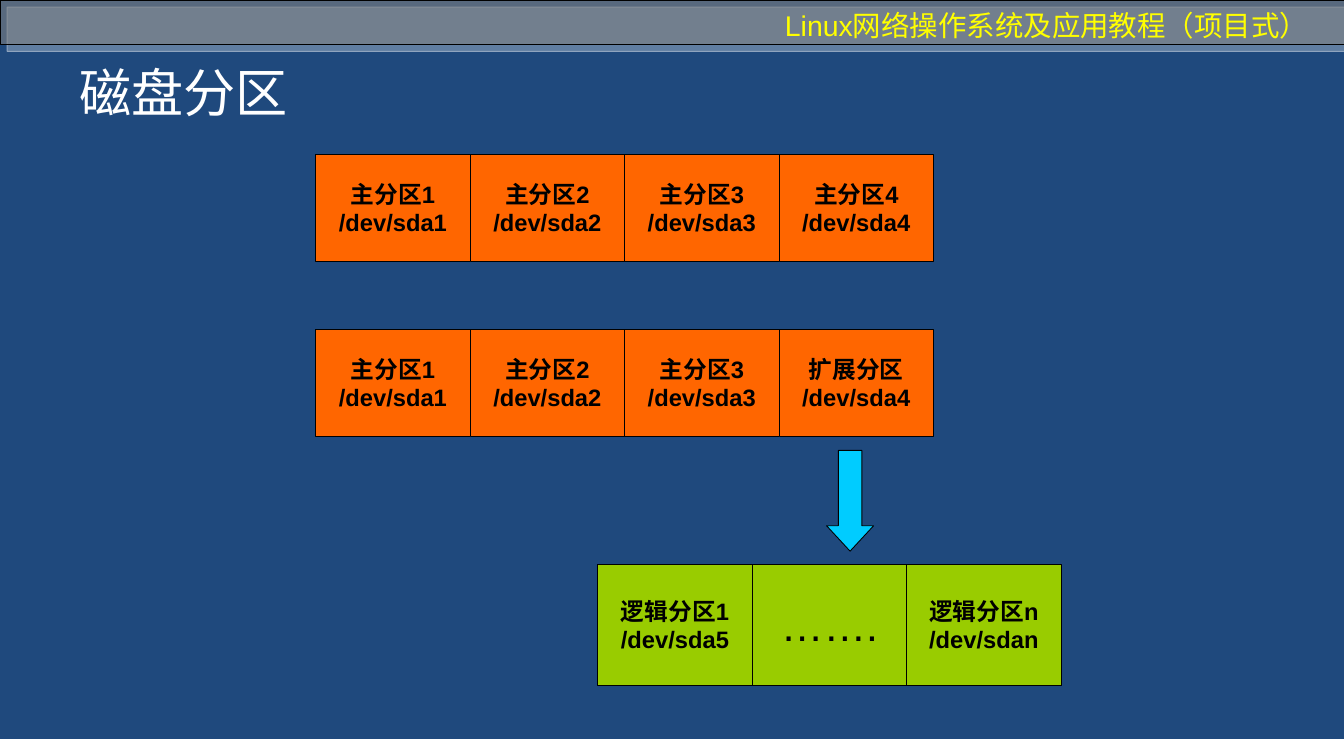
from dataclasses import dataclass

from lxml import etree
from pptx import Presentation
from pptx import util as u
from pptx.dml.color import RGBColor
from pptx.enum import shapes, text
from pptx.oxml import ns

FONT = "Arial"
BLACK, WHITE, YELLOW = "000000", "FFFFFF", "FFFF00"
ORANGE, GREEN, CYAN = "FF6600", "99CC00", "00CCFF"
CELL_WIDTH = 130.3


@dataclass(frozen=True)
class Cell:
    lines: tuple[str, ...]
    size: float = 20
    bold: bool = True


@dataclass(frozen=True)
class DiskRow:
    left: float
    top: float
    height: float
    color: str
    cells: tuple[Cell, ...]


PRIMARY = tuple(Cell((f"主分区{n}", f"/dev/sda{n}")) for n in range(1, 5))
EXTENDED = Cell(("扩展分区", "/dev/sda4"))
LOGICAL = (
    Cell(("逻辑分区1", "/dev/sda5")),
    Cell(("…….",), 36, False),
    Cell(("逻辑分区n", "/dev/sdan")),
)
ROWS = (
    DiskRow(266.4, 130.3, 90.7, ORANGE, PRIMARY),
    DiskRow(266.4, 277.9, 90.7, ORANGE, PRIMARY[:3] + (EXTENDED,)),
    DiskRow(504.4, 476, 102.2, GREEN, LOGICAL),
)


def rgb(color: str) -> RGBColor:
    return RGBColor.from_string(color)


def add_run(paragraph, words: str, size: float, color: str, bold: bool = False) -> None:
    run = paragraph.add_run()
    run.text = words
    run.font.name = FONT
    run.font.size = u.Pt(size)
    run.font.bold = bold
    run.font.color.rgb = rgb(color)


def add_block(slide, kind, left: float, top: float, width: float, height: float, color: str):
    block = slide.shapes.add_shape(kind, u.Pt(left), u.Pt(top), u.Pt(width), u.Pt(height))
    block.shadow.inherit = False
    block.fill.solid()
    block.fill.fore_color.rgb = rgb(color)
    block.line.color.rgb = rgb(BLACK)
    block.line.width = u.Pt(0.75)
    return block


def add_alpha(color_element, percent: int) -> None:
    etree.SubElement(color_element, ns.qn("a:alpha"), val=str(percent * 1000))


def add_banner(slide) -> None:
    banner = add_block(slide, shapes.MSO_SHAPE.RECTANGLE, 0, 0, 1134, 37.4, "808080")
    properties = banner._element.spPr
    add_alpha(properties.find(ns.qn("a:solidFill")).find(ns.qn("a:srgbClr")), 59)
    shadow = etree.SubElement(
        properties.find(ns.qn("a:effectLst")), ns.qn("a:outerShdw"),
        dist=str(u.Pt(8.5)), dir=str(45 * 60000), algn="ctr", rotWithShape="0",
    )
    add_alpha(etree.SubElement(shadow, ns.qn("a:srgbClr"), val=WHITE), 50)

    course = slide.shapes.add_textbox(u.Pt(655.2), u.Pt(3.6), u.Pt(478.8), u.Pt(36))
    course.text_frame.word_wrap = True
    add_run(course.text_frame.paragraphs[0], "Linux网络操作系统及应用教程（项目式）", 24, YELLOW)


def add_title(slide) -> None:
    title = slide.shapes.title
    title.left, title.top, title.width, title.height = map(u.Pt, (56.9, 25.2, 1020.2, 103.7))
    frame = title.text_frame
    frame.auto_size = text.MSO_AUTO_SIZE.NONE
    frame.vertical_anchor = text.MSO_ANCHOR.MIDDLE
    frame.margin_left = frame.margin_right = u.Pt(10)
    frame.margin_top = frame.margin_bottom = u.Pt(5)
    frame.paragraphs[0].alignment = text.PP_ALIGN.LEFT
    add_run(frame.paragraphs[0], "磁盘分区", 44, WHITE)


def add_disk_row(slide, row: DiskRow) -> None:
    for column, cell in enumerate(row.cells):
        partition = add_block(
            slide, shapes.MSO_SHAPE.RECTANGLE, row.left + column * CELL_WIDTH,
            row.top, CELL_WIDTH, row.height, row.color,
        )
        frame = partition.text_frame
        frame.word_wrap = False
        frame.vertical_anchor = text.MSO_ANCHOR.MIDDLE
        for index, line in enumerate(cell.lines):
            paragraph = frame.add_paragraph() if index else frame.paragraphs[0]
            paragraph.alignment = text.PP_ALIGN.CENTER
            add_run(paragraph, line, cell.size, BLACK, cell.bold)


def main() -> None:
    deck = Presentation()
    deck.slide_width, deck.slide_height = u.Pt(1134), u.Pt(623.5)
    slide = deck.slides.add_slide(deck.slide_layouts[5])
    slide.background.fill.solid()
    slide.background.fill.fore_color.rgb = rgb("1F497D")

    add_banner(slide)
    add_title(slide)
    for row in ROWS:
        add_disk_row(slide, row)
    arrow = add_block(slide, shapes.MSO_SHAPE.DOWN_ARROW, 697.4, 380, 39.7, 85, CYAN)
    arrow.adjustments[0] = 0.5
    arrow.adjustments[1] = 0.54

    deck.save("out.pptx")


if __name__ == "__main__":
    main()
